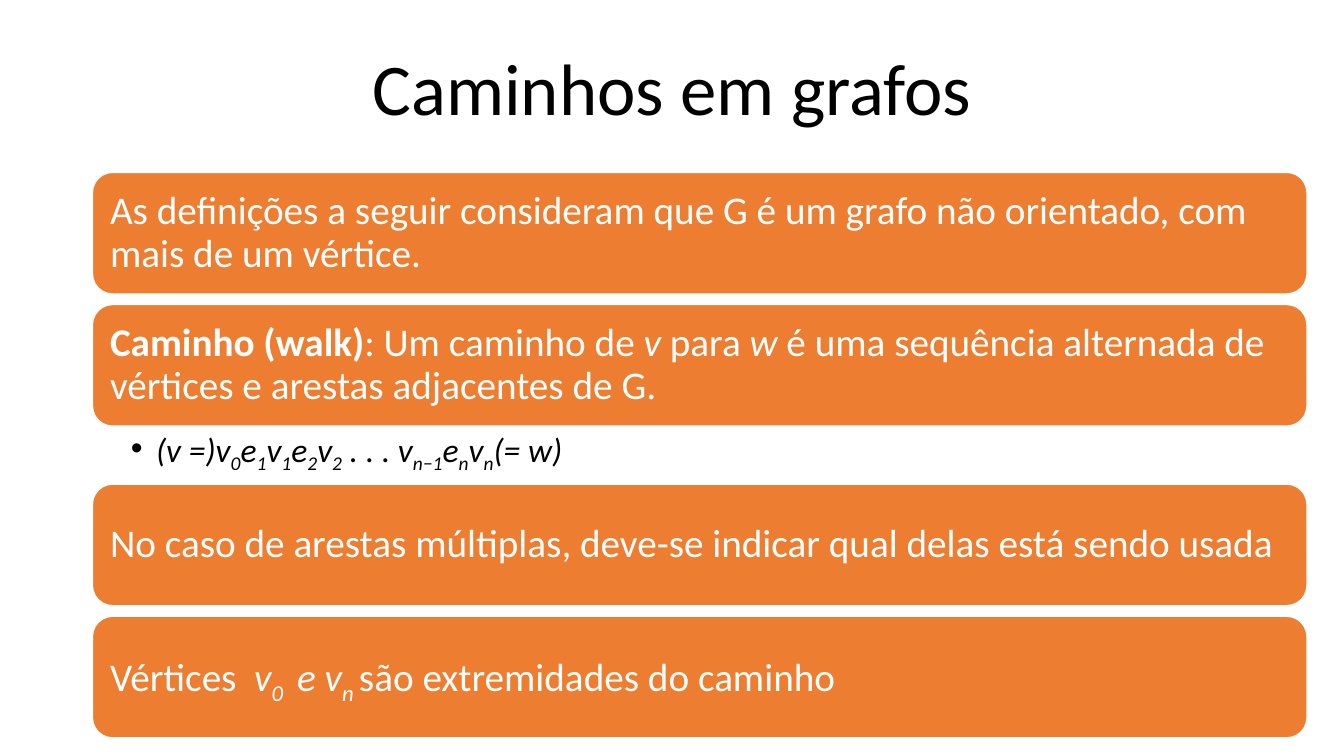
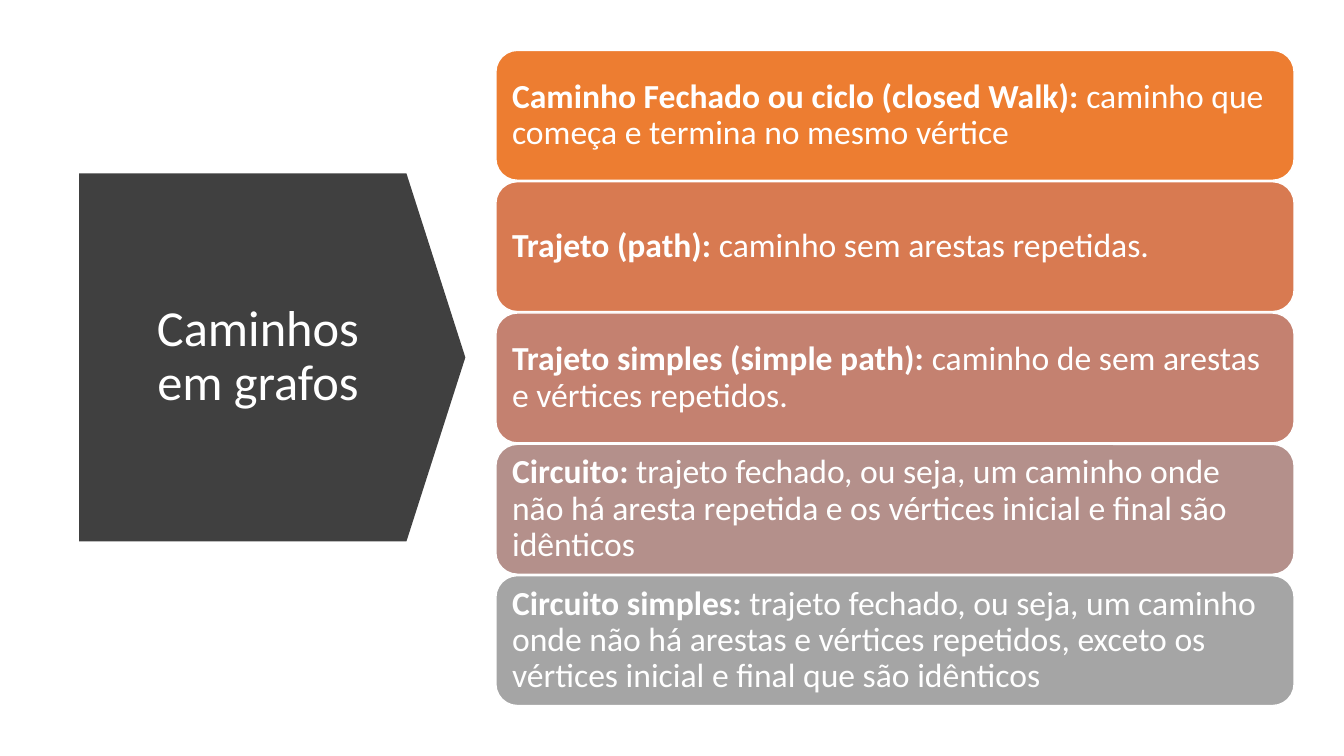
"""Build two slides that define paths in graphs."""
from dataclasses import dataclass

from lxml import etree
from pptx import Presentation
from pptx import util as u
from pptx.dml.color import RGBColor
from pptx.enum import shapes, text
from pptx.oxml.ns import qn

COLORS = {
    "black": "000000",
    "white": "FFFFFF",
    "charcoal": "404040",
    "orange": "ED7D31",
    "copper": "D87A51",
    "rose": "C48170",
    "mauve": "B4908B",
    "gray": "A5A5A5",
}
FONT = "Calibri"
TITLE = "Caminhos em grafos"
LINE_SPACING = 0.9


@dataclass(frozen=True)
class Run:
    text: str
    bold: bool = False
    italic: bool = False
    subscript: bool = False


@dataclass(frozen=True)
class Area:
    left: float
    top: float
    width: float
    height: float

    def lengths(self) -> list[u.Length]:
        return [u.Pt(value) for value in (self.left, self.top, self.width, self.height)]


@dataclass(frozen=True)
class TextStyle:
    size: float
    color: str
    insets: tuple[float, float, float, float] = (7.2, 3.6, 7.2, 3.6)
    align: text.PP_ALIGN = text.PP_ALIGN.LEFT
    anchor: text.MSO_ANCHOR = text.MSO_ANCHOR.MIDDLE
    bullet_indent: float = 0


@dataclass(frozen=True)
class Card:
    color: str
    runs: list[Run]


@dataclass(frozen=True)
class CardColumn:
    left: float
    width: float
    height: float
    gap: float
    style: TextStyle


WIDE_COLUMN = CardColumn(66, 867.6, 86.9, 7.5, TextStyle(28, "white", (8.4,) * 4))
SIDE_COLUMN = CardColumn(354.2, 570.2, 92.8, 1, TextStyle(24, "white", (7.2,) * 4))
FORMULA_STYLE = TextStyle(24, "black", (27.5, 2.4, 13.6, 2.4),
                          anchor=text.MSO_ANCHOR.TOP, bullet_indent=18)
FORMULA_HEIGHT = 41.4

WALK_CARDS = [
    Card("orange", [Run("As definições a seguir consideram que G é um grafo não "
                        "orientado, com mais de um vértice.")]),
    Card("orange", [
        Run("Caminho (walk)", bold=True),
        Run(": Um caminho de "),
        Run("v ", italic=True),
        Run("para "),
        Run("w", italic=True),
        Run(" é uma sequência alternada de vértices e arestas adjacentes de G."),
    ]),
]
FORMULA_PARTS = ["(v =)v", "0", "e", "1", "v", "1", "e", "2", "v", "2", " . . . v",
                 "n−1", "e", "n", "v", "n", "(= w)"]
FORMULA = [Run(part, italic=True, subscript=index % 2 == 1)
           for index, part in enumerate(FORMULA_PARTS)]
END_CARDS = [
    Card("orange", [Run("No caso de arestas múltiplas, deve-se indicar qual delas "
                        "está sendo usada")]),
    Card("orange", [
        Run("Vértices"),
        Run("  v", italic=True),
        Run("0 ", italic=True, subscript=True),
        Run(" e v", italic=True),
        Run("n ", italic=True, subscript=True),
        Run("são extremidades do caminho"),
    ]),
]
DEFINITIONS = [
    ("orange", "Caminho Fechado ou ciclo (closed Walk):",
     " caminho que começa e termina no mesmo vértice"),
    ("copper", "Trajeto (path):", " caminho sem arestas repetidas."),
    ("rose", "Trajeto simples (simple path):",
     " caminho de sem arestas e vértices repetidos."),
    ("mauve", "Circuito:",
     " trajeto fechado, ou seja, um caminho onde não há aresta repetida e os "
     "vértices inicial e final são idênticos"),
    ("gray", "Circuito simples:",
     " trajeto fechado, ou seja, um caminho onde não há arestas e vértices "
     "repetidos, exceto os vértices inicial e final que são idênticos"),
]
DEFINITION_CARDS = [Card(color, [Run(term, bold=True), Run(meaning)])
                    for color, term, meaning in DEFINITIONS]


def rgb(name: str) -> RGBColor:
    return RGBColor.from_string(COLORS[name])


def add_bullet(paragraph, indent: float) -> None:
    paragraph.level = 1
    properties = paragraph._p.get_or_add_pPr()
    properties.set("marL", str(u.Pt(indent)))
    properties.set("indent", str(-u.Pt(indent)))
    etree.SubElement(properties, qn("a:buFont")).set("typeface", "Arial")
    etree.SubElement(properties, qn("a:buChar")).set("char", "•")


def write_text(shape, runs: list[Run], style: TextStyle) -> None:
    frame = shape.text_frame
    frame.word_wrap = True
    frame.vertical_anchor = style.anchor
    (frame.margin_left, frame.margin_top,
     frame.margin_right, frame.margin_bottom) = map(u.Pt, style.insets)
    paragraph = frame.paragraphs[0]
    if style.bullet_indent:
        add_bullet(paragraph, style.bullet_indent)
    paragraph.alignment = style.align
    paragraph.line_spacing = LINE_SPACING
    for item in runs:
        run = paragraph.add_run()
        run.text = item.text
        font = run.font
        font.name = FONT
        font.size = u.Pt(style.size)
        font.bold = item.bold
        font.italic = item.italic
        font.color.rgb = rgb(style.color)
        if item.subscript:
            run._r.get_or_add_rPr().set("baseline", "-25000")


def add_text(slide, area: Area, runs: list[Run], style: TextStyle) -> None:
    write_text(slide.shapes.add_textbox(*area.lengths()), runs, style)


def add_title(slide, area: Area, size: float, color: str) -> None:
    add_text(slide, area, [Run(TITLE)],
             TextStyle(size, color, align=text.PP_ALIGN.CENTER))


def add_filled_shape(slide, kind: shapes.MSO_SHAPE, area: Area, color: str):
    shape = slide.shapes.add_shape(kind, *area.lengths())
    shape.shadow.inherit = False
    shape.fill.solid()
    shape.fill.fore_color.rgb = rgb(color)
    shape.line.fill.background()
    return shape


def add_cards(slide, cards: list[Card], column: CardColumn, top: float) -> float:
    """Stack the cards from the given top and return the bottom of the last one."""
    for card in cards:
        area = Area(column.left, top, column.width, column.height)
        shape = add_filled_shape(slide, shapes.MSO_SHAPE.ROUNDED_RECTANGLE, area, card.color)
        shape.line.color.rgb = rgb("white")
        shape.line.width = u.Pt(1)
        write_text(shape, card.runs, column.style)
        top += column.height + column.gap
    return top - column.gap


def build_walk_slide(slide) -> None:
    add_title(slide, Area(66, 21, 828, 89.4), 52, "black")
    bottom = add_cards(slide, WALK_CARDS, WIDE_COLUMN, 123.1)
    add_text(slide, Area(WIDE_COLUMN.left, bottom, WIDE_COLUMN.width, FORMULA_HEIGHT),
             FORMULA, FORMULA_STYLE)
    add_cards(slide, END_CARDS, WIDE_COLUMN, bottom + FORMULA_HEIGHT)


def build_definitions_slide(slide) -> None:
    arrow = add_filled_shape(slide, shapes.MSO_SHAPE.PENTAGON,
                             Area(56.6, 123.9, 275.8, 262.8), "charcoal")
    arrow.adjustments[0] = 0.16
    add_title(slide, Area(80.6, 154.8, 207.4, 200.9), 36, "white")
    add_cards(slide, DEFINITION_CARDS, SIDE_COLUMN, 36)


def main() -> None:
    presentation = Presentation()
    presentation.slide_width = u.Pt(960)
    presentation.slide_height = u.Pt(540)
    blank_layout = presentation.slide_layouts[6]
    for build in (build_walk_slide, build_definitions_slide):
        build(presentation.slides.add_slide(blank_layout))
    presentation.save("out.pptx")


if __name__ == "__main__":
    main()
